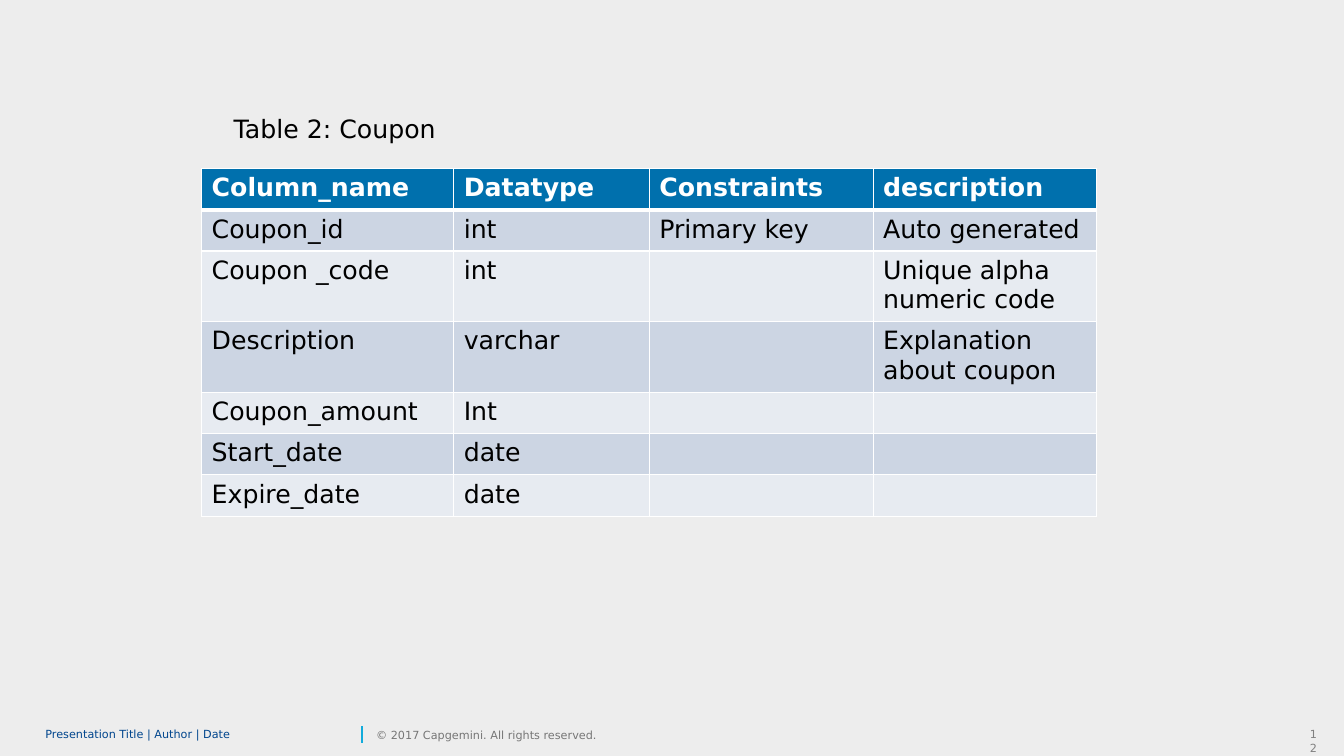
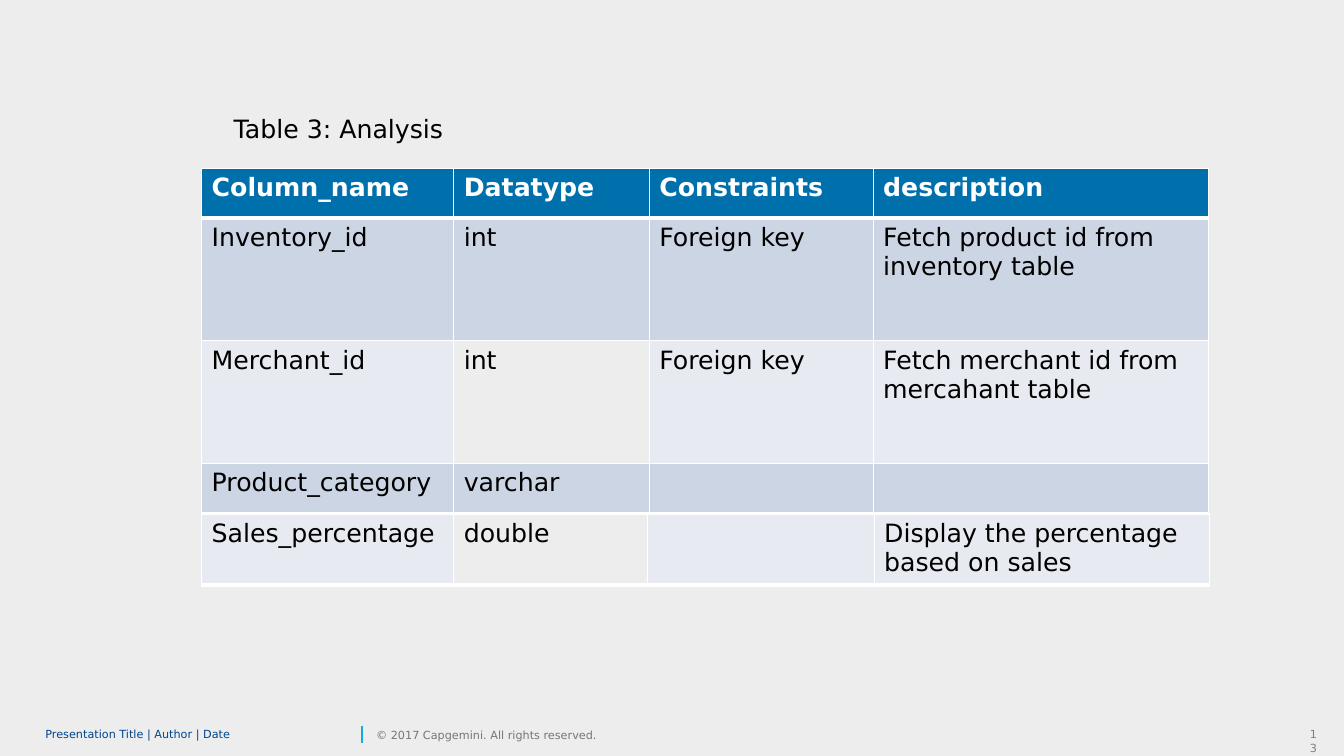
from lxml import etree
from pptx import Presentation
from pptx.dml.color import RGBColor
from pptx.enum.shapes import MSO_CONNECTOR
from pptx.enum.text import MSO_ANCHOR, PP_ALIGN
from pptx.oxml.ns import qn
from pptx.util import Inches, Pt

STRAIGHT = MSO_CONNECTOR.STRAIGHT
TOP, MIDDLE = MSO_ANCHOR.TOP, MSO_ANCHOR.MIDDLE
LEFT, RIGHT = PP_ALIGN.LEFT, PP_ALIGN.RIGHT

FONT = "DejaVu Sans"
BACKDROP = RGBColor(0xED, 0xED, 0xED)
HEADER = RGBColor(0x00, 0x70, 0xAD)
BAND_DARK = RGBColor(0xCC, 0xD5, 0xE3)
BAND_LIGHT = RGBColor(0xE7, 0xEB, 0xF1)
WHITE = RGBColor(0xFF, 0xFF, 0xFF)
BLACK = RGBColor(0x00, 0x00, 0x00)
NAVY = RGBColor(0x00, 0x45, 0x8D)
CYAN = RGBColor(0x12, 0xAB, 0xDB)
GREY = RGBColor(0x76, 0x76, 0x76)
NUMBER_GREY = RGBColor(0x80, 0x80, 0x80)

THIN, THICK = 1, 3
TABLE_LEFT = 2
FOOTER_TOP, FOOTER_HEIGHT = 7.17, 0.24
FOOTER_TITLE = "Presentation Title | Author | Date"
COPYRIGHT = "© 2017 Capgemini. All rights reserved."

HEADINGS = ("Column_name", "Datatype", "Constraints", "description")

SLIDES = [
    {
        "number": "12",
        "caption": "Table 2: Coupon",
        "tables": [
            {
                "top": 1.67,
                "widths": (2.5, 1.94, 2.22, 2.22),
                "heights": (0.41, 0.41, 0.7, 0.7, 0.41, 0.41, 0.41),
                "fills": (HEADER,) + (BAND_DARK, BAND_LIGHT) * 3,
                "thick_row": 0,
                "rows": [
                    HEADINGS,
                    ("Coupon_id", "int", "Primary key", "Auto generated"),
                    ("Coupon _code", "int", "", "Unique alpha numeric code"),
                    ("Description", "varchar", "", "Explanation about coupon"),
                    ("Coupon_amount", "Int", "", ""),
                    ("Start_date", "date", "", ""),
                    ("Expire_date", "date", "", ""),
                ],
            },
        ],
    },
    {
        "number": "13",
        "caption": "Table 3: Analysis",
        "tables": [
            {
                "top": 1.67,
                "widths": (2.5, 1.94, 2.22, 3.33),
                "heights": (0.49, 1.22, 1.22, 0.49),
                "fills": (HEADER, BAND_DARK, BAND_LIGHT, BAND_DARK),
                "thick_row": 0,
                "plain_cell": (2, 1),
                "rows": [
                    HEADINGS,
                    ("Inventory_id", "int", "Foreign key",
                     "Fetch product id from inventory table"),
                    ("Merchant_id", "int", "Foreign key",
                     "Fetch merchant id from mercahant table"),
                    ("Product_category", "varchar", "", ""),
                ],
            },
            {
                "top": 5.1,
                "widths": (2.5, 1.92, 2.25, 3.33),
                "heights": (0.7,),
                "fills": (BAND_LIGHT,),
                "thick_row": 0,
                "plain_cell": (0, 1),
                "rows": [
                    ("Sales_percentage", "double", "",
                     "Display the percentage based on sales"),
                ],
            },
        ],
    },
]


def style(p, size, color, bold=False):
    p.font.name = FONT
    p.font.size = Pt(size)
    p.font.color.rgb = color
    p.font.bold = bold


def add_text(s, box, text, size, color, anchor=TOP, align=LEFT, inset=True, spacing=None):
    tf = s.shapes.add_textbox(*map(Inches, box)).text_frame
    tf.word_wrap = True
    tf.vertical_anchor = anchor
    if not inset:
        tf.margin_left = tf.margin_top = tf.margin_right = tf.margin_bottom = 0
    p = tf.paragraphs[0]
    p.text = text
    p.alignment = align
    if spacing:
        p.line_spacing = spacing
    style(p, size, color)


def add_footer(s, number):
    add_text(s, (12.89, FOOTER_TOP, 0.27, FOOTER_HEIGHT), number, 8, NUMBER_GREY,
             align=RIGHT)
    divider = s.shapes.add_connector(STRAIGHT, Inches(3.59), Inches(7.37),
                                     Inches(3.59), Inches(7.2))
    divider.line.color.rgb = CYAN
    divider.line.width = Pt(1)
    etree.SubElement(divider.element.spPr, qn("a:effectLst"))
    add_text(s, (0.45, FOOTER_TOP, 3.09, FOOTER_HEIGHT), FOOTER_TITLE, 8, NAVY,
             anchor=MIDDLE, inset=False, spacing=0.85)
    add_text(s, (3.73, FOOTER_TOP, 2.43, FOOTER_HEIGHT), COPYRIGHT, 8, GREY,
             anchor=MIDDLE, inset=False)


def set_borders(cell, top, bottom):
    tc_pr = cell._tc.get_or_add_tcPr()
    for side, width in (("L", THIN), ("R", THIN), ("T", top), ("B", bottom)):
        ln = etree.SubElement(tc_pr, qn(f"a:ln{side}"), w=str(Pt(width)))
        fill = etree.SubElement(ln, qn("a:solidFill"))
        etree.SubElement(fill, qn("a:srgbClr"), val=str(WHITE))


def add_grid(s, spec_data):
    rows, widths, heights = (spec_data[key] for key in ("rows", "widths", "heights"))
    frame = s.shapes.add_table(len(rows), len(widths), Inches(TABLE_LEFT),
                               Inches(spec_data["top"]), Inches(sum(widths)),
                               Inches(sum(heights)))
    table = frame.table
    for column, width in zip(table.columns, widths):
        column.width = Inches(width)
    for i, (values, height, fill) in enumerate(zip(rows, heights, spec_data["fills"])):
        table.rows[i].height = Inches(height)
        is_header = fill == HEADER
        top = THICK if i == spec_data["thick_row"] + 1 else THIN
        bottom = THICK if i == spec_data["thick_row"] else THIN
        for j, value in enumerate(values):
            cell = table.cell(i, j)
            set_borders(cell, top, bottom)
            cell.fill.solid()
            is_plain = (i, j) == spec_data.get("plain_cell")
            cell.fill.fore_color.rgb = BACKDROP if is_plain else fill
            p = cell.text_frame.paragraphs[0]
            if value:
                p.text = value
            style(p, 18, WHITE if is_header else BLACK, is_header)


def main():
    prs = Presentation()
    prs.slide_width, prs.slide_height = Inches(13.33), Inches(7.5)
    backdrop = prs.slide_master.background.fill
    backdrop.solid()
    backdrop.fore_color.rgb = BACKDROP
    for content in SLIDES:
        s = prs.slides.add_slide(prs.slide_layouts[6])
        add_footer(s, content["number"])
        for grid in content["tables"]:
            add_grid(s, grid)
        add_text(s, (2.22, 1.08, 4.03, 0.4), content["caption"], 18, BLACK)
    prs.save("out.pptx")


if __name__ == "__main__":
    main()
